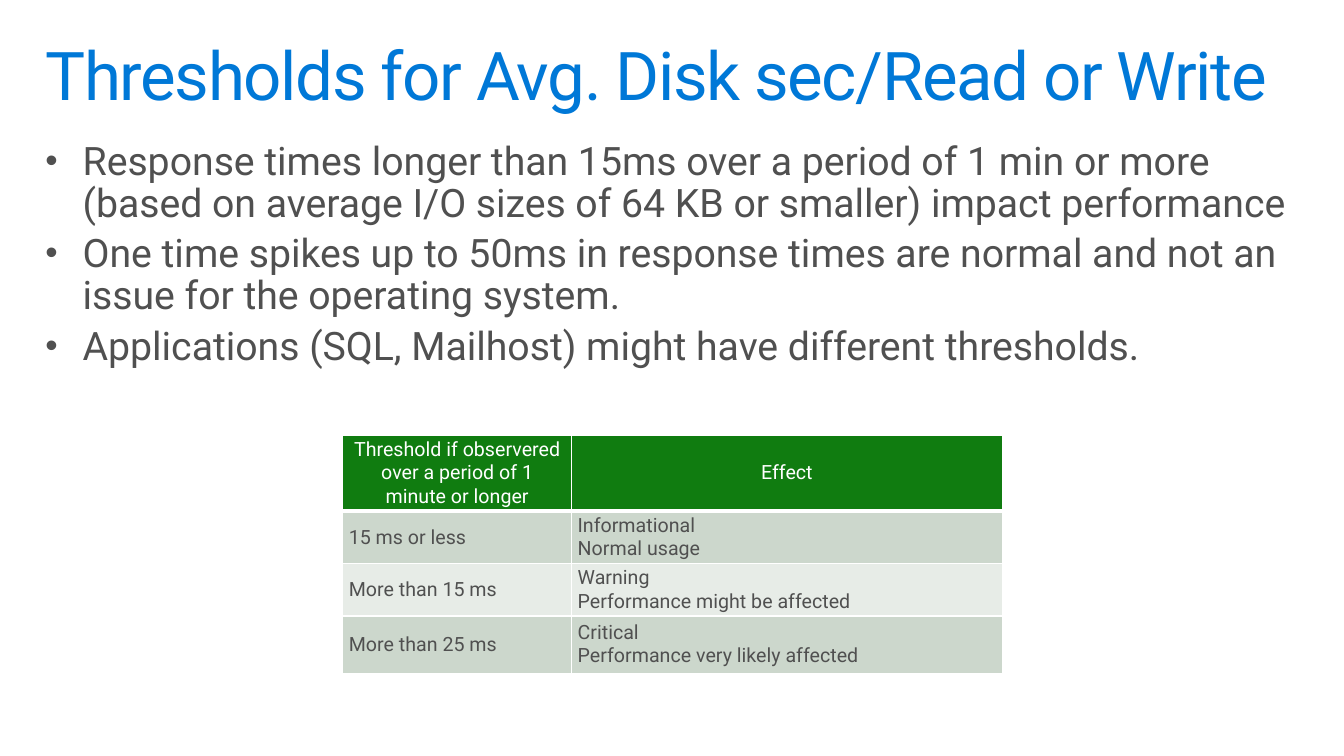
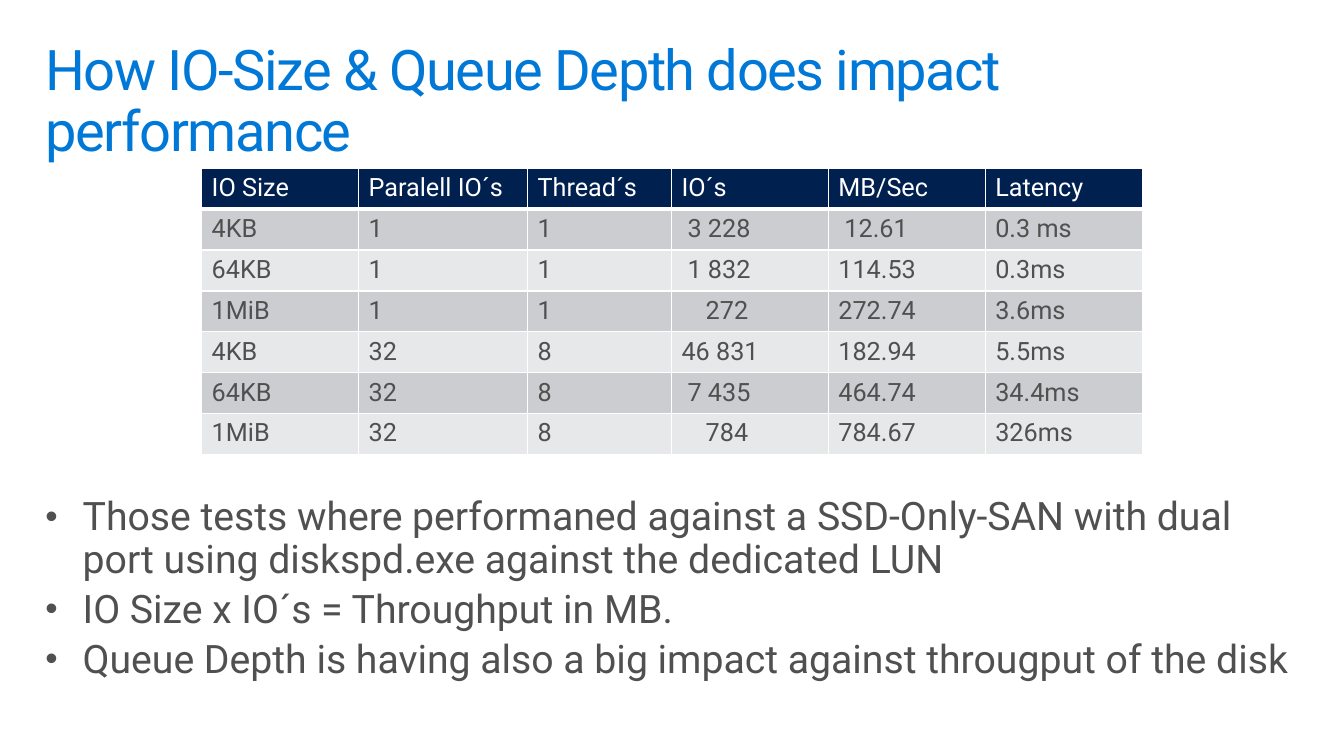
from lxml import etree
from pptx import Presentation
from pptx import util as u
from pptx.dml.color import RGBColor
from pptx.enum import text
from pptx.oxml.ns import qn

FONT = "Roboto"
WHITE, GREY, BLUE = "FFFFFF", "505050", "0078D7"
GREEN_BANDS = ("107C10", "CCD7CC", "E7ECE7")   # header, odd rows, even rows
NAVY_BANDS = ("002050", "CCCDD0", "E7E8E9")
WIDTH, HEIGHT = 13.33, 7.5
LEFT, TEXT_WIDTH = 0.29, 12.75
TITLE_BOX = (LEFT, 0.32, TEXT_WIDTH, 0.98)
SPACE_WIDTH = 0.06                             # one digit-group space at 18 pt


def rgb(hex_colour):
    return RGBColor.from_string(hex_colour)


def inches(*lengths):
    return [u.Inches(length) for length in lengths]


def style_runs(frame, size, colour):
    for paragraph in frame.paragraphs:
        for run in paragraph.runs:
            run.font.name = FONT
            run.font.size = u.Pt(size)
            run.font.bold = False
            run.font.color.rgb = rgb(colour)


def set_frame(frame):
    frame.word_wrap = True
    frame.auto_size = text.MSO_AUTO_SIZE.NONE
    frame.vertical_anchor = text.MSO_ANCHOR.TOP
    frame.margin_left = frame.margin_right = u.Inches(0.16)
    frame.margin_top = frame.margin_bottom = u.Inches(0.1)


# Title in the placeholder of the title-only layout
def add_titled_slide(deck, wording, size):
    slide = deck.slides.add_slide(deck.slide_layouts[5])
    title = slide.shapes.title
    title.left, title.top, title.width, title.height = inches(*TITLE_BOX)
    frame = title.text_frame
    set_frame(frame)
    frame.text = wording
    heading = frame.paragraphs[0]
    heading.alignment = text.PP_ALIGN.LEFT
    heading.line_spacing = 0.9
    style_runs(frame, size, BLUE)
    heading.runs[0].font._element.set("spc", "-100")
    return slide


# Bulleted text with a hanging indent
def add_bullets(slide, box, points, size=28):
    frame = slide.shapes.add_textbox(*inches(*box)).text_frame
    set_frame(frame)
    frame.text = "\n".join(points)
    for index, point in enumerate(frame.paragraphs):
        point.line_spacing = 0.9
        point.space_before = u.Pt(0.2 * size if index else 0)
        props = point._p.get_or_add_pPr()
        props.set("marL", str(u.Inches(0.37)))
        props.set("indent", str(u.Inches(-0.37)))
        for tag, key, value in (("a:buSzPct", "val", "90000"),
                                ("a:buFont", "typeface", "Arial"),
                                ("a:buChar", "char", "•")):
            etree.SubElement(props, qn(tag)).set(key, value)
    style_runs(frame, size, GREY)


def add_borders(cell, bottom):
    props = cell._tc.get_or_add_tcPr()
    for side, points in (("L", 1), ("R", 1), ("T", 1), ("B", bottom)):
        line = etree.SubElement(props, qn("a:ln" + side), w=str(u.Pt(points)))
        fill = etree.SubElement(line, qn("a:solidFill"))
        etree.SubElement(fill, qn("a:srgbClr"), val=WHITE)


# Banded table: column and row shares divide the box
def add_banded_table(slide, box, rows, col_shares, row_shares, bands, size):
    _, _, width, height = box
    table = slide.shapes.add_table(len(rows), len(col_shares), *inches(*box)).table
    table.horz_banding = False
    for column, share in zip(table.columns, col_shares):
        column.width = u.Inches(width * share / sum(col_shares))
    for row, share in zip(table.rows, row_shares):
        row.height = u.Inches(height * share / sum(row_shares))
    for r, wordings in enumerate(rows):
        for c, wording in enumerate(wordings):
            cell = table.cell(r, c)
            cell.text = wording
            add_borders(cell, bottom=1 if r else 3)
            cell.fill.solid()
            cell.fill.fore_color.rgb = rgb(bands[2 - r % 2] if r else bands[0])
            style_runs(cell.text_frame, size, GREY if r else WHITE)
    return table


def build_thresholds(deck):
    slide = add_titled_slide(deck, "Thresholds for Avg. Disk sec/Read or Write", 48)
    add_bullets(slide, (LEFT, 1.3, TEXT_WIDTH, 2.95), [
        "Response times longer than 15ms over a period of 1 min or more "
        "(based on average I/O sizes of 64 KB or smaller) impact performance",
        "One time spikes up to 50ms in response times are normal and not an "
        "issue for the operating system.",
        "Applications (SQL, Mailhost) might have different thresholds.",
    ])
    effects = [
        ("Threshold if observered over a period of 1 minute or longer", "Effect"),
        ("15 ms or less", "Informational\nNormal usage"),
        ("More than 15 ms", "Warning\nPerformance might be affected"),
        ("More than 25 ms", "Critical\nPerformance very likely affected"),
    ]
    table = add_banded_table(slide, (3.4, 4.32, 6.54, 2.36), effects,
                             (2.27, 4.27), (0.75, 0.52, 0.52, 0.57), GREEN_BANDS, 14)
    for cell in table.iter_cells():
        cell.vertical_anchor = text.MSO_ANCHOR.MIDDLE
        cell.margin_left = cell.margin_right = u.Inches(0.06)
        cell.margin_top = cell.margin_bottom = u.Inches(0.03)
    for heading in table.rows[0].cells:
        heading.text_frame.paragraphs[0].alignment = text.PP_ALIGN.CENTER


def build_io_sizes(deck):
    slide = add_titled_slide(deck, "How IO-Size & Queue Depth does impact performance", 40)
    tests = [
        ("IO Size", "Paralell IO´s", "Thread´s", "IO´s", "MB/Sec", "Latency"),
        ("4KB", "1", "1", "3 228", "12.61", "0.3 ms"),
        ("64KB", "1", "1", "1 832", "114.53", "0.3ms"),
        ("1MiB", "1", "1", "272", "272.74", "3.6ms"),
        ("4KB", "32", "8", "46 831", "182.94", "5.5ms"),
        ("64KB", "32", "8", "7 435", "464.74", "34.4ms"),
        ("1MiB", "32", "8", "784", "784.67", "326ms"),
    ]
    table = add_banded_table(slide, (2, 1.67, 9.33, 2.84), tests,
                             (1.56, 1.68, 1.43, 1.56, 1.56, 1.56), [1] * len(tests),
                             NAVY_BANDS, 18)
    # Indent the shorter numbers, in space widths by (row, column)
    indents = {(1, 3): 1, (2, 3): 1, (3, 3): 4, (5, 3): 1, (6, 3): 4, (1, 4): 1}
    for position, spaces in indents.items():
        table.cell(*position).margin_left = u.Inches(0.1 + spaces * SPACE_WIDTH)
    add_bullets(slide, (LEFT, 4.83, TEXT_WIDTH, 2.19), [
        "Those tests where performaned against a SSD-Only-SAN with dual port "
        "using diskspd.exe against the dedicated LUN",
        "IO Size x IO´s = Throughput in MB.",
        "Queue Depth is having also a big impact against througput of the disk",
    ])


def main():
    deck = Presentation()
    deck.slide_width, deck.slide_height = inches(WIDTH, HEIGHT)
    build_thresholds(deck)
    build_io_sizes(deck)
    deck.save("out.pptx")


if __name__ == "__main__":
    main()
